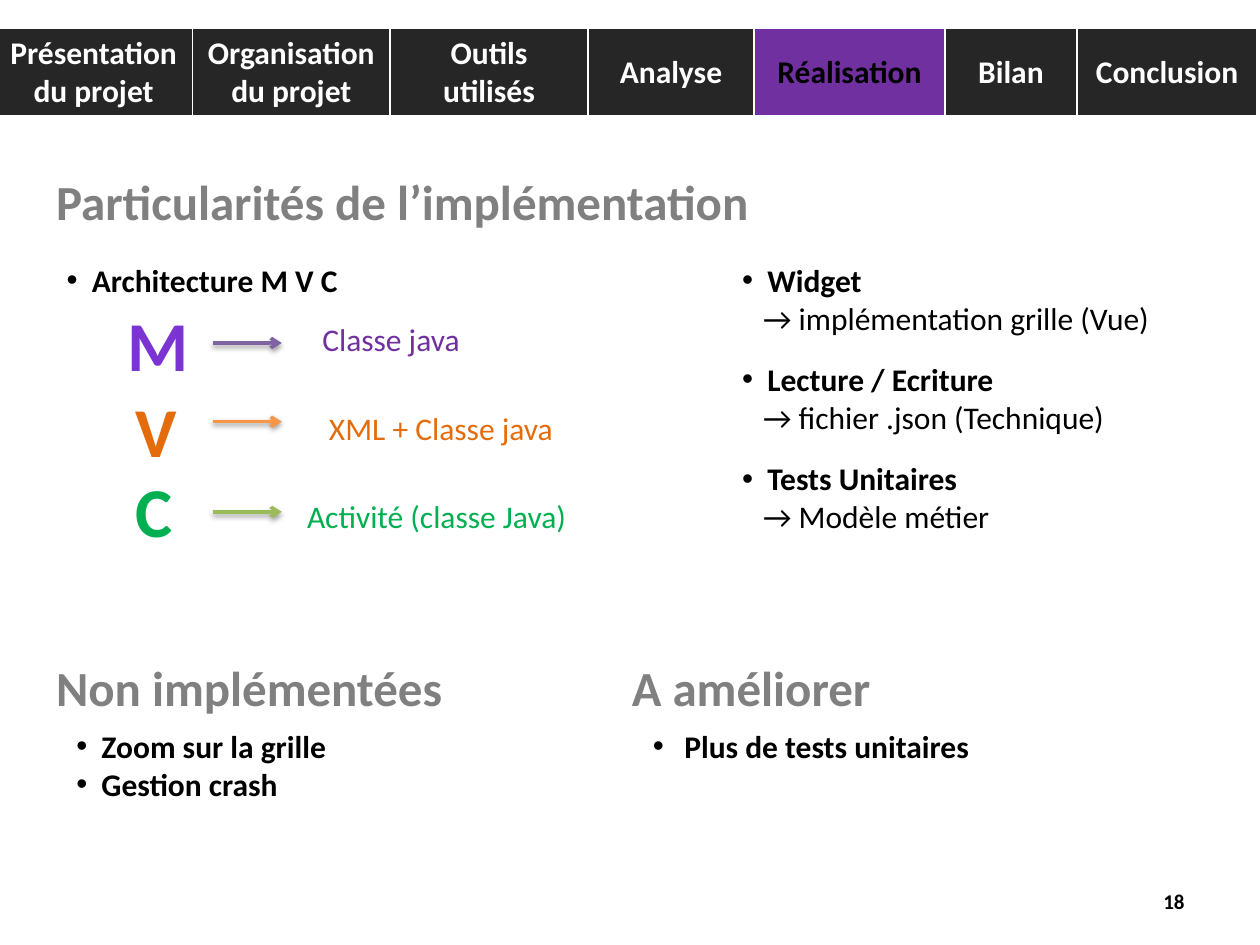
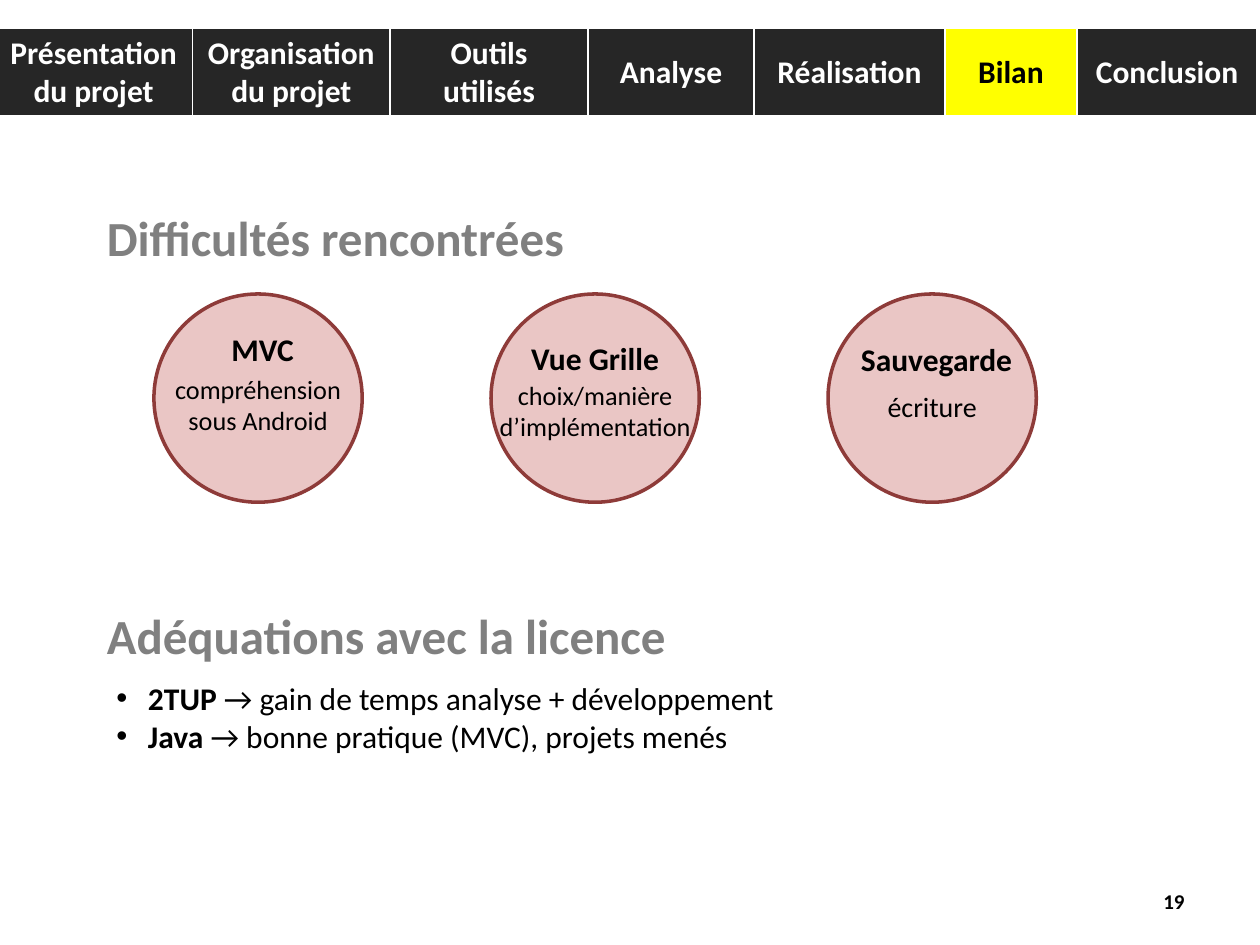
from lxml.etree import SubElement
from pptx import Presentation
from pptx.dml.color import RGBColor
from pptx.enum.shapes import MSO_CONNECTOR, MSO_SHAPE
from pptx.enum.text import MSO_ANCHOR, PP_ALIGN
from pptx.oxml.ns import qn
from pptx.util import Pt

BLACK, WHITE, GREY, DARK = "000000", "FFFFFF", "808080", "262626"
TABS = ["Présentation\ndu projet", "Organisation\ndu projet", "Outils\nutilisés",
        "Analyse", "Réalisation", "Bilan", "Conclusion"]
WIDTHS = [113, 113, 113, 95, 109, 75.5, 103]


def tone(hue):
    return RGBColor.from_string(hue)


def put(obj, vals):
    for key, val in vals.items():
        setattr(obj, key, val)


def sub(node, tag, **vals):
    return SubElement(node, qn(tag), {key: str(val) for key, val in vals.items()})


def tint(fill, hue, alpha=100):
    fill.solid()
    fill.fore_color.rgb = tone(hue)
    if alpha < 100:
        sub(fill._xPr.find(".//" + qn("a:srgbClr")), "a:alpha", val=alpha * 1000)


class Deck:
    """Draw the slides of the project talk in one shared style."""

    def __init__(self):
        self.show = Presentation()
        put(self.show, {"slide_width": Pt(720), "slide_height": Pt(540)})
        self.base = {"name": "Calibri", "size": Pt(18), "bold": False}

    def page(self, num, now, hue):
        self.slide = self.show.slides.add_slide(self.show.slide_layouts[6])
        self.shapes = self.slide.shapes
        self.menu(now, hue)
        self.text(516, 500.5, 168, 28.5, [str(num)], size=12, bold=True,
                  align=PP_ALIGN.RIGHT, anchor=MSO_ANCHOR.MIDDLE)

    def lay(self, frame, lines, hue=BLACK, size=18, bold=False,
            align=PP_ALIGN.LEFT, hang=0):
        for row, line in enumerate(lines):
            par = frame.add_paragraph() if row else frame.paragraphs[0]
            par.alignment = align
            head, _, tail = line.partition("|")
            if hang:
                self.mark(par, hang, bool(head))
            for part, fat in ((head, bold), (tail, False)):
                if part:
                    run = par.add_run()
                    run.text = part
                    put(run.font, {**self.base, "size": Pt(size), "bold": fat})
                    run.font.color.rgb = tone(hue)

    def mark(self, par, hang, dot):
        props = par._p.get_or_add_pPr()
        props.set("marL", str(Pt(hang if dot else 12)))
        props.set("indent", str(Pt(-hang if dot else 0)))
        if dot:
            sub(props, "a:buFont", typeface="Arial")
            sub(props, "a:buChar", char="•")

    def text(self, x, y, w, h, lines, anchor=MSO_ANCHOR.TOP, **style):
        frame = self.shapes.add_textbox(Pt(x), Pt(y), Pt(w), Pt(h)).text_frame
        put(frame, {"word_wrap": True, "vertical_anchor": anchor})
        self.lay(frame, lines, **style)

    def title(self, x, y, w, line):
        self.text(x, y, w, 41, [line], hue=GREY, size=28, bold=True)

    def list(self, x, y, w, lines, hang=14.4):
        self.text(x, y, w, 7.2 + 22 * len(lines), lines, bold=True, hang=hang)

    def label(self, mid, y, w, line, **style):
        self.text(mid - w / 2, y, w, 29, [line], align=PP_ALIGN.CENTER, **style)

    def menu(self, now, hue):
        table = self.shapes.add_table(1, len(TABS), Pt(-3), Pt(16), Pt(sum(WIDTHS)),
                                      Pt(49)).table
        put(table, {"first_row": False, "horz_banding": False})
        for col, (name, wide) in enumerate(zip(TABS, WIDTHS)):
            table.columns[col].width = Pt(wide)
            cell = table.cell(0, col)
            cell.vertical_anchor = MSO_ANCHOR.MIDDLE
            for side, thick in zip("LRTB", (1, 1, 1, 3)):
                edge = sub(cell._tc.get_or_add_tcPr(), "a:ln" + side, w=Pt(thick))
                sub(sub(edge, "a:solidFill"), "a:srgbClr", val=WHITE)
            live = name == now
            tint(cell.fill, hue if live else DARK, 68 if live else 100)
            self.lay(cell.text_frame, name.split("\n"), bold=True,
                     hue=BLACK if live else WHITE, align=PP_ALIGN.CENTER)

    def arrow(self, x, y, w, hue):
        line = self.shapes.add_connector(MSO_CONNECTOR.STRAIGHT, Pt(x), Pt(y),
                                         Pt(x + w), Pt(y))
        line.line.width = Pt(2)
        line.line.color.rgb = tone(hue)
        sub(line.line._get_or_add_ln(), "a:tailEnd", type="arrow")
        glow = sub(sub(line._element.spPr, "a:effectLst"), "a:outerShdw",
                   blurRad=Pt(3.1), dist=Pt(1.6), dir=90 * 60000, rotWithShape=0)
        sub(sub(glow, "a:srgbClr", val=BLACK), "a:alpha", val=38000)

    def disc(self, x, y, size):
        disc = self.shapes.add_shape(MSO_SHAPE.OVAL, Pt(x), Pt(y), Pt(size), Pt(size))
        disc.shadow.inherit = False
        tint(disc.fill, "C0504D", 32)
        disc.line.width = Pt(2)
        disc.line.color.rgb = tone("8E3B39")


def build(deck):
    deck.page(18, "Réalisation", "7030A0")
    deck.title(25, 94.5, 482, "Particularités de l’implémentation")
    deck.list(31, 145.5, 318, ["Architecture M V C"])
    points = [("Widget", "|→ implémentation grille (Vue)"),
              ("Lecture / Ecriture", "|→ fichier .json (Technique)"),
              ("Tests Unitaires", "|→ Modèle métier")]
    for row, lines in enumerate(points):
        deck.list(417, 145.5 + 56.7 * row, 295, lines)
    layers = [("M", "7B34D2", 65.5, 168.5, "8064A2", 196, "Classe java", "7030A0", 223.5),
              ("V", "E46C0A", 70.5, 218, "F79646", 241, "XML + Classe java", "E46C0A", 252),
              ("C", "00B050", 70.5, 263.5, "9BBB59", 292.5, "Activité (classe Java)",
               "00B050", 249.5)]
    for row, (sign, ink, x, y, shade, level, name, hue, mid) in enumerate(layers):
        deck.text(x, y, 68, 55.5, [sign], hue=ink, size=40, bold=True)
        deck.arrow(121.5, level, 39.5, shade)
        deck.label(mid, 179.5 + 50.6 * row, 210, name, hue=hue)
    deck.title(25, 372, 267, "Non implémentées")
    deck.list(36.5, 412, 300, ["Zoom sur la grille", "Gestion crash"])
    deck.title(354, 372, 267, "A améliorer")
    deck.list(366, 412, 340, ["Plus de tests unitaires"], hang=18)

    deck.page(19, "Bilan", "FFFF00")
    deck.title(54, 115, 323, "Difficultés rencontrées")
    issues = [("MVC", 2.5, 185, "compréhension sous Android", 209.5, 15),
              ("Vue Grille", 0, 190, "choix/manière d’implémentation", 213, 15),
              ("Sauvegarde", 2.5, 191, "écriture", 219, 16)]
    for col, (name, shift, top, note, low, size) in enumerate(issues):
        mid = 147.5 + 192.6 * col
        deck.disc(mid - 59.5, 168, 119)
        deck.label(mid + shift, top, 110, name, bold=True)
        deck.label(mid, low, 130, note, size=size)
    deck.title(54, 342.5, 436, "Adéquations avec la licence")
    deck.list(59.5, 384.5, 476, ["2TUP |→ gain de temps analyse + développement",
                                 "Java |→ bonne pratique (MVC), projets menés"], hang=18)
    deck.show.save("out.pptx")


if __name__ == "__main__":
    build(Deck())
